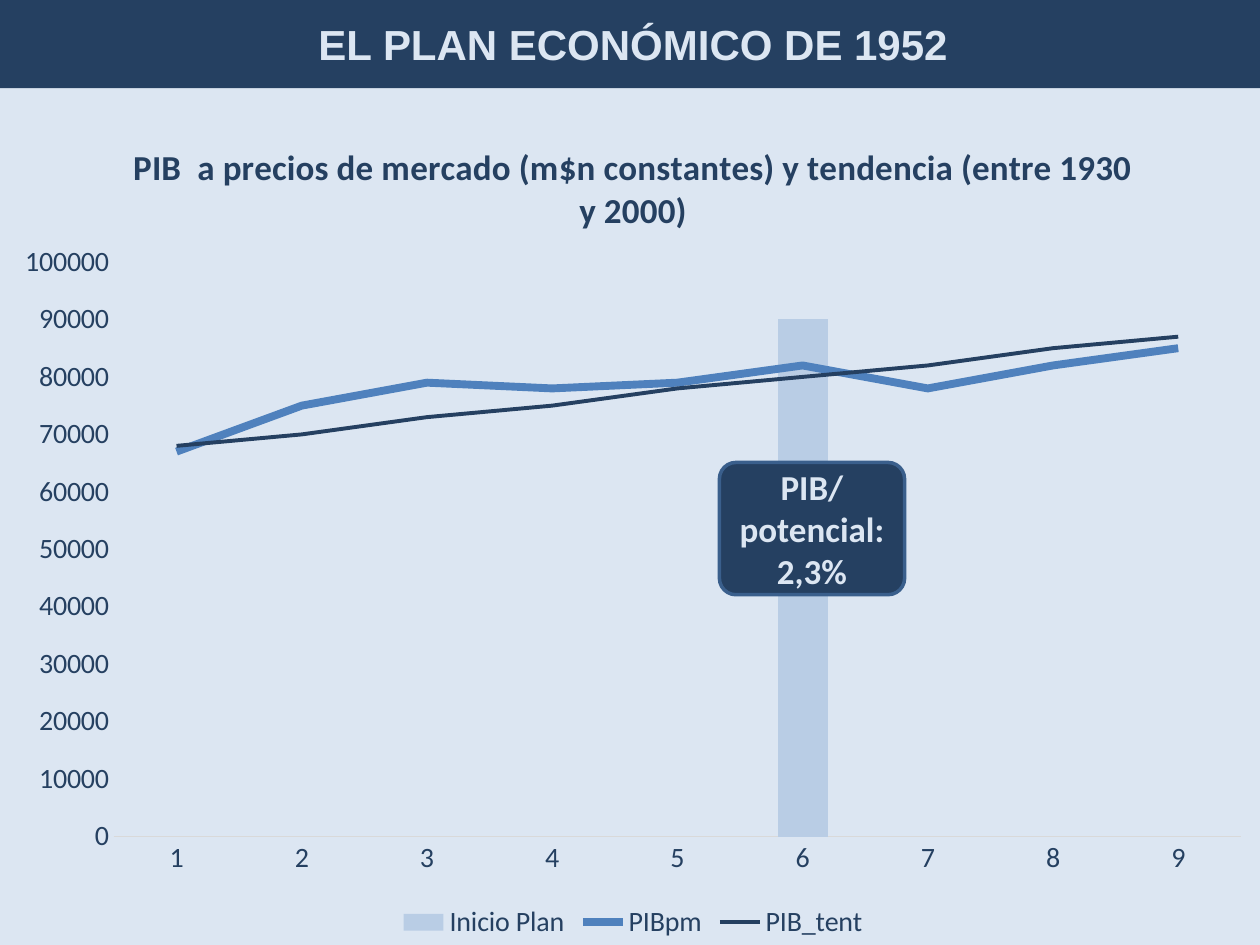
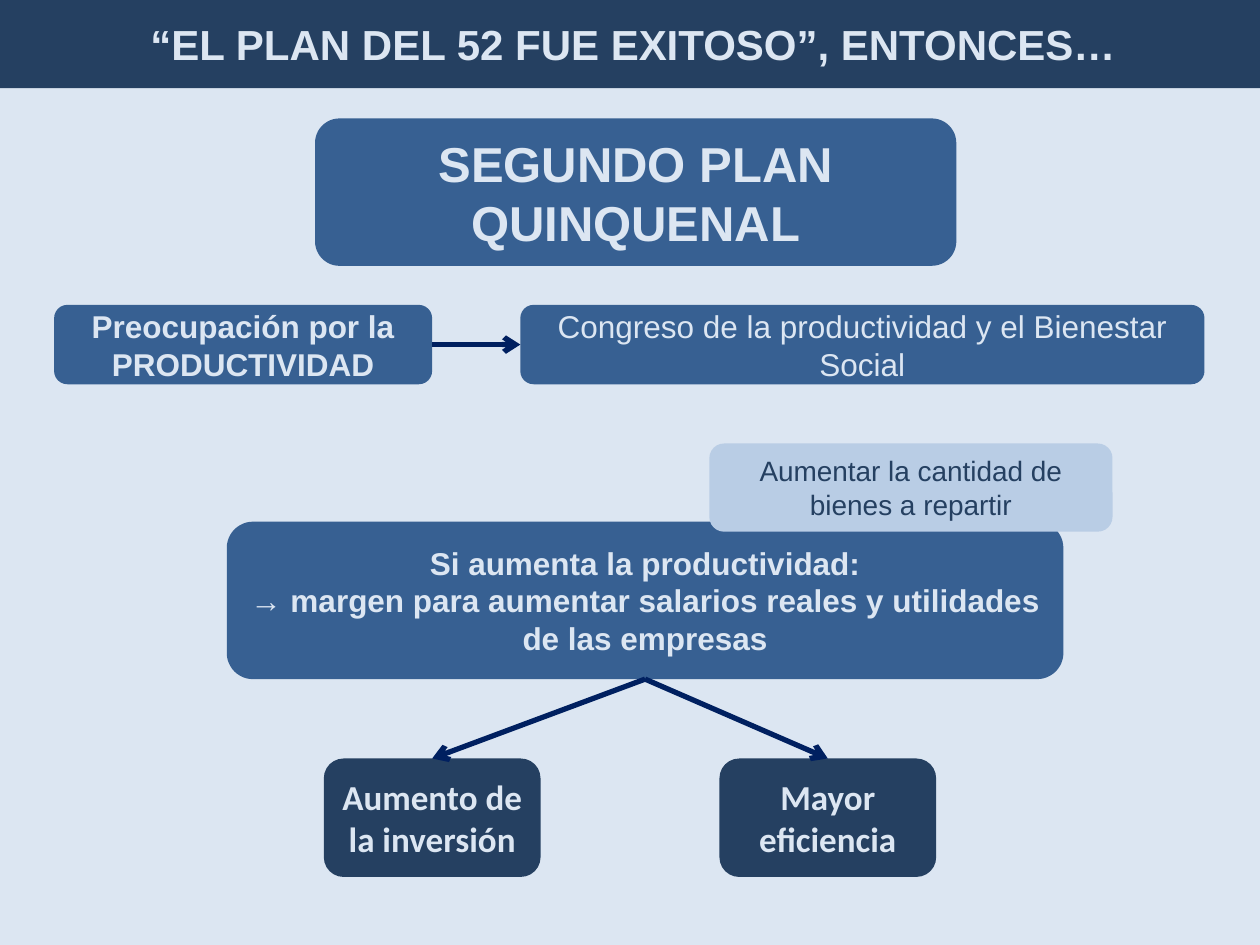
from dataclasses import dataclass

from lxml import etree
from pptx import Presentation
from pptx.chart.data import CategoryChartData
from pptx.dml.color import RGBColor
from pptx.enum.chart import (XL_CHART_TYPE, XL_LEGEND_POSITION, XL_MARKER_STYLE,
                             XL_TICK_MARK)
from pptx.enum.shapes import MSO_CONNECTOR, MSO_SHAPE
from pptx.enum.text import MSO_ANCHOR, MSO_AUTO_SIZE, PP_ALIGN
from pptx.oxml import parse_xml
from pptx.oxml.ns import nsdecls, qn
from pptx.util import Inches, Pt


@dataclass(frozen=True)
class Theme:
    back: str = "DCE6F2"
    dark: str = "254061"
    mid: str = "376092"
    light: str = "B9CDE5"
    trend: str = "4F81BD"
    edge: str = "3A5F8C"
    arrow: str = "002060"
    axis: str = "D9D9D9"
    head: str = "Arial"
    body: str = "Calibri"
    hero: int = 28
    title: int = 24
    large: int = 20
    main: int = 18
    small: int = 16


THEME = Theme()
TOP, LEFT, BOTTOM, RIGHT = range(4)


def rgb(code):
    return RGBColor.from_string(code)


def paint(shape, fill):
    shape.fill.solid()
    shape.fill.fore_color.rgb = rgb(fill)


def style(font, size, color=THEME.dark, face=THEME.body, bold=False):
    font.size, font.name, font.bold = Pt(size), face, bold
    font.color.rgb = rgb(color)


def write(shape, text, size=THEME.main, color=THEME.back, face=THEME.head, bold=True):
    """Put centred text in a shape, one paragraph for each line."""
    frame = shape.text_frame
    frame.text = text
    frame.word_wrap = True
    frame.auto_size = MSO_AUTO_SIZE.NONE
    frame.vertical_anchor = MSO_ANCHOR.MIDDLE
    for para in frame.paragraphs:
        para.alignment = PP_ALIGN.CENTER
        style(para.font, size, color, face, bold)


def add_page(prs, title):
    slide = prs.slides.add_slide(prs.slide_layouts[5])
    band = slide.shapes.title
    band.left, band.top = Inches(0), Inches(0)
    band.width, band.height = Inches(10.05), Inches(0.7)
    paint(band, THEME.dark)
    write(band, title, size=THEME.title)
    return slide


def add_box(slide, text, at, fill=THEME.mid, edge=None, round_by=None, **form):
    box = slide.shapes.add_shape(MSO_SHAPE.ROUNDED_RECTANGLE, *map(Inches, at))
    box.shadow.inherit = False
    paint(box, fill)
    if edge:
        box.line.color.rgb = rgb(edge)
        box.line.width = Pt(2)
    else:
        box.line.fill.background()
    if round_by is not None:
        box.adjustments[0] = round_by
    write(box, text, **form)
    return box


def add_arrow(slide, start, out, end, into):
    """Join side `out` of start to side `into` of end."""
    link = slide.shapes.add_connector(MSO_CONNECTOR.STRAIGHT, 0, 0, 0, 0)
    link.begin_connect(start, out)
    link.end_connect(end, into)
    link.line.color.rgb = rgb(THEME.arrow)
    link.line.width = Pt(3)
    props = link._element.spPr
    etree.SubElement(props.find(qn("a:ln")), qn("a:tailEnd"), type="arrow")
    etree.SubElement(props, qn("a:effectLst"))


def split_lines(chart):
    """Move every series after the first from the columns to a line plot."""
    bars = chart._chartSpace.find(".//" + qn("c:barChart"))
    lines = parse_xml(
        f'<c:lineChart {nsdecls("c")}><c:grouping val="standard"/>'
        '<c:varyColors val="0"/></c:lineChart>')
    for ser in bars.findall(qn("c:ser"))[1:]:
        for flag in ser.findall(qn("c:invertIfNegative")):
            ser.remove(flag)
        lines.append(ser)
    etree.SubElement(lines, qn("c:marker"), val="1")
    for axis in bars.findall(qn("c:axId")):
        etree.SubElement(lines, qn("c:axId"), val=axis.get("val"))
    bars.addnext(lines)
    return chart.plots[1]


def set_area(chart, **area):
    """Fix the inner plot area by fractions of the chart: x, y, w and h."""
    plot = chart._chartSpace.find(".//" + qn("c:plotArea"))
    for old in plot.findall(qn("c:layout")):
        plot.remove(old)
    layout = etree.Element(qn("c:layout"))
    manual = etree.SubElement(layout, qn("c:manualLayout"))
    parts = {"layoutTarget": "inner", "xMode": "edge", "yMode": "edge", **area}
    for name, value in parts.items():
        etree.SubElement(manual, qn("c:" + name), val=str(value))
    plot.insert(0, layout)


def set_axes(chart):
    cats, vals = chart.category_axis, chart.value_axis
    for axis in (cats, vals):
        axis.major_tick_mark = axis.minor_tick_mark = XL_TICK_MARK.NONE
        axis.has_major_gridlines = False
    cats.format.line.color.rgb = rgb(THEME.axis)
    cats.format.line.width = Pt(0.75)
    skip = etree.Element(qn("c:tickLblSkip"), val="9")
    cats._element.find(qn("c:lblOffset")).addnext(skip)
    vals.format.line.fill.background()
    vals.minimum_scale, vals.maximum_scale, vals.major_unit = 0, 100000, 10000
    vals.tick_labels.number_format = "0"
    vals.tick_labels.number_format_is_linked = False


def add_trend(slide):
    data = CategoryChartData()
    data.categories = [str(year) for year in range(1, 10)]
    data.add_series("Inicio Plan", [None] * 5 + [90000] + [None] * 3)
    data.add_series("PIBpm", [67000, 75000, 79000, 78000, 79000,
                              82000, 78000, 82000, 85000])
    data.add_series("PIB_tent", [68000, 70000, 73000, 75000, 78000,
                                 80000, 82000, 85000, 87000])
    at = map(Inches, (0, 0.89, 10.05, 6.61))
    chart = slide.shapes.add_chart(XL_CHART_TYPE.COLUMN_CLUSTERED, *at, data).chart
    style(chart.font, THEME.small)
    chart.has_title = True
    frame = chart.chart_title.text_frame
    frame.text = ("PIB  a precios de mercado (m$n constantes) "
                  "y tendencia (entre 1930 y 2000)")
    style(frame.paragraphs[0].runs[0].font, THEME.large, bold=True)
    chart.has_legend = True
    chart.legend.position = XL_LEGEND_POSITION.BOTTOM
    chart.legend.include_in_layout = False

    lines = split_lines(chart)
    bars = chart.plots[0]
    bars.gap_width, bars.vary_by_categories = 150, False
    paint(bars.series[0].format, THEME.light)
    looks = ((THEME.trend, 4.5), (THEME.dark, 2.25))
    for ser, (color, width) in zip(lines.series, looks):
        ser.smooth = False
        ser.format.line.color.rgb = rgb(color)
        ser.format.line.width = Pt(width)
        ser.marker.style = XL_MARKER_STYLE.NONE
    set_axes(chart)
    set_area(chart, x=0.09, y=0.18, w=0.89, h=0.69)


def plan_page(prs):
    slide = add_page(prs, "EL PLAN ECONÓMICO DE 1952")
    add_trend(slide)
    add_box(slide, "PIB/\npotencial:\n2,3%", (5.71, 3.67, 1.47, 1.05),
            fill=THEME.dark, edge=THEME.edge, round_by=0.125,
            size=THEME.large, face=THEME.body)


def goal_page(prs):
    slide = add_page(prs, "“EL PLAN DEL 52 FUE EXITOSO”, ENTONCES…")
    add_box(slide, "SEGUNDO PLAN QUINQUENAL", (2.5, 0.94, 5.09, 1.17),
            size=THEME.hero)
    worry = add_box(slide, "Preocupación por la PRODUCTIVIDAD",
                    (0.43, 2.42, 3, 0.63))
    forum = add_box(slide, "Congreso de la productividad y el Bienestar Social",
                    (4.13, 2.42, 5.43, 0.63), bold=False)
    add_arrow(slide, worry, RIGHT, forum, LEFT)
    gain = add_box(slide, "Si aumenta la productividad:\n→ margen para aumentar "
                   "salarios reales y utilidades de las empresas",
                   (1.8, 4.14, 6.64, 1.25))
    add_box(slide, "Aumentar la cantidad de bienes a repartir",
            (5.63, 3.52, 3.2, 0.7), fill=THEME.light,
            size=THEME.small, color=THEME.dark, bold=False)
    for left, text in ((2.57, "Aumento de la inversión"), (5.71, "Mayor eficiencia")):
        goal = add_box(slide, text, (left, 6.02, 1.72, 0.94), fill=THEME.dark,
                       size=THEME.large, face=THEME.body)
        add_arrow(slide, gain, BOTTOM, goal, TOP)


def main():
    prs = Presentation()
    prs.slide_width, prs.slide_height = Inches(10), Inches(7.5)
    paint(prs.slide_master.background, THEME.back)
    plan_page(prs)
    goal_page(prs)
    prs.save("out.pptx")


if __name__ == "__main__":
    main()
